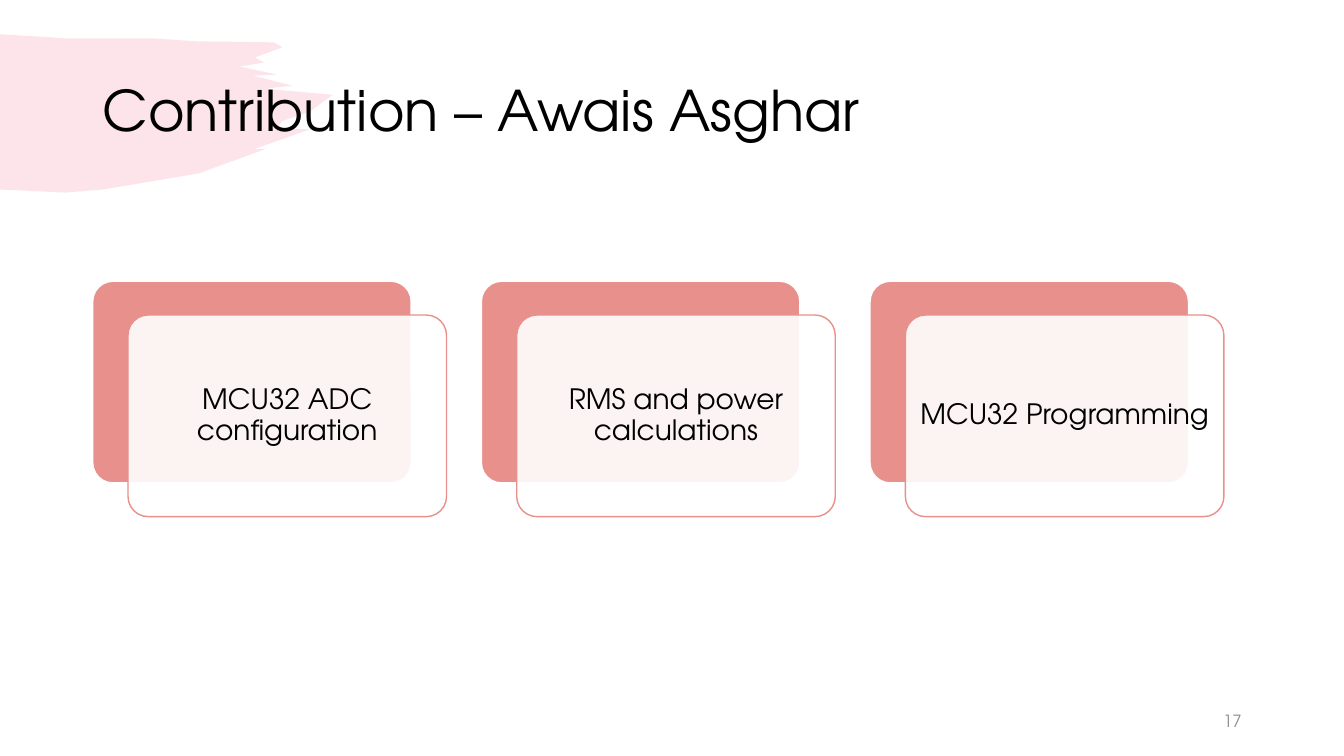
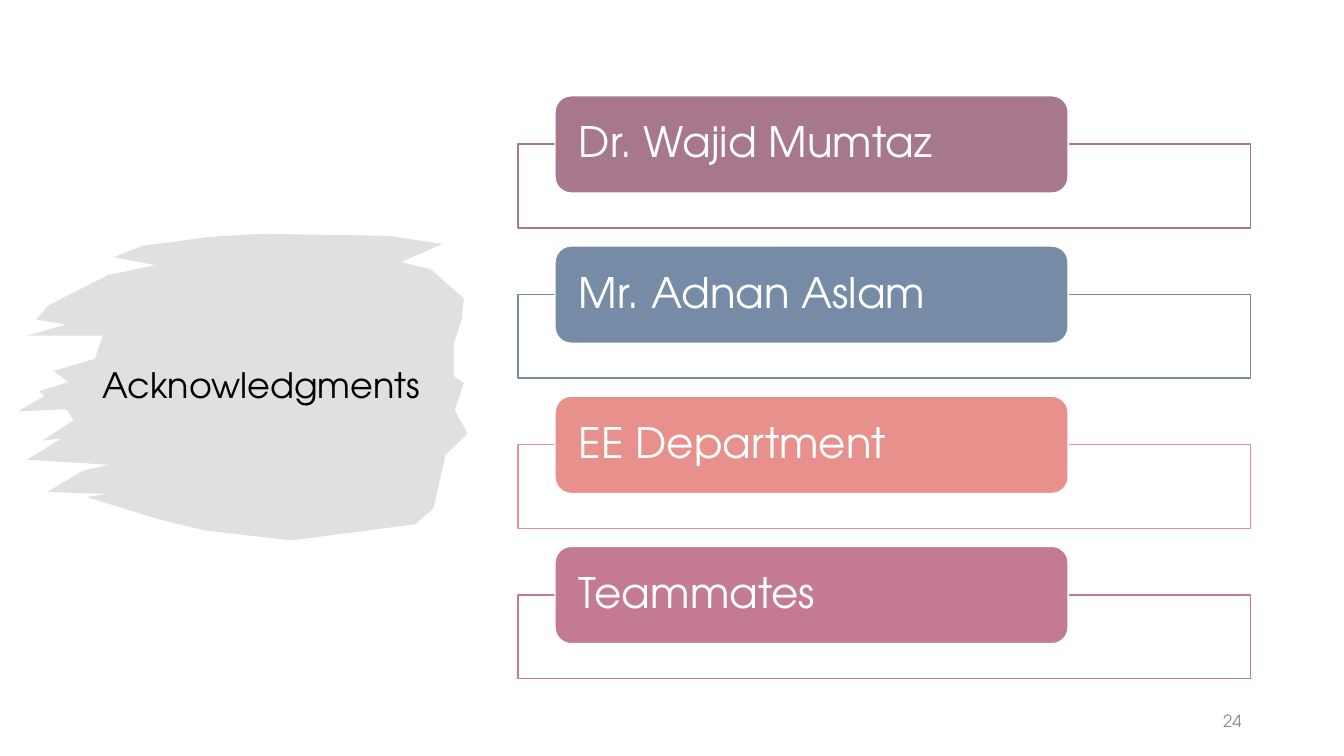
from dataclasses import dataclass
from typing import Optional

from lxml.etree import SubElement
from pptx import Presentation
from pptx.dml.color import RGBColor
from pptx.enum.shapes import MSO_SHAPE as Preset
from pptx.enum.text import MSO_ANCHOR as Anchor, PP_ALIGN as Align
from pptx.oxml.ns import qn
from pptx.util import Emu, Inches, Pt

SLIDE_WIDTH, SLIDE_HEIGHT = Emu(12192000), Emu(6858000)
MESH_COLUMNS = 1333
FONT = "TeX Gyre Adventor"
COLORS = {
    "ink": "000000",
    "paper": "FFFFFF",
    "footer": "8C8C8C",
    "blush": "F07C98",
    "grey": "D9D9D9",
    "coral": "E8908B",
    "mauve": "A6778D",
    "slate": "768BA6",
    "rose": "C47A93",
}


@dataclass(frozen=True)
class Box:
    """Position and size in percent of the slide."""

    left: float
    top: float
    width: float
    height: float

    def shifted(self, right: float = 0, down: float = 0) -> "Box":
        return Box(self.left + right, self.top + down, self.width, self.height)

    def emu(self) -> tuple[Emu, ...]:
        shares = (self.left, self.top, self.width, self.height)
        sides = (SLIDE_WIDTH, SLIDE_HEIGHT) * 2
        return tuple(Emu(round(side * share / 100)) for side, share in zip(sides, shares))


@dataclass(frozen=True)
class Brush:
    """Outline on a mesh of square cells, MESH_COLUMNS across the slide."""

    color: str
    opacity: int
    outline: tuple[tuple[int, int], ...]


@dataclass(frozen=True)
class Thanks:
    name: str
    color: str


TITLE_BRUSH = Brush("blush", 20, (
    (0, 34), (66, 38), (151, 38), (194, 41), (272, 42), (280, 47), (253, 57), (262, 62),
    (238, 66), (275, 74), (251, 75), (290, 85), (263, 88), (330, 94), (307, 111), (280, 120),
    (274, 128), (308, 128), (252, 148), (263, 148), (197, 172), (102, 188), (65, 191), (0, 188),
))
THANKS_BRUSH = Brush("grey", 80, (
    (259, 232), (385, 234), (439, 242), (398, 260), (427, 267), (460, 296), (458, 317),
    (450, 341), (450, 373), (460, 380), (451, 407), (464, 430), (442, 451), (430, 504),
    (412, 520), (289, 536), (202, 526), (154, 514), (86, 493), (107, 490), (47, 488),
    (82, 467), (108, 461), (27, 456), (61, 435), (42, 437), (73, 417), (66, 406), (18, 408),
    (44, 393), (39, 388), (68, 379), (53, 368), (94, 356), (102, 333), (27, 333),
    (66, 322), (36, 317), (48, 303), (107, 273), (154, 263), (113, 255), (141, 244),
    (208, 235),
))

FOOTER = Box(70.63, 92.67, 22.5, 5.33)
TOP_TITLE = Box(6.9, 5.33, 86.25, 19.33)
SIDE_TITLE = Box(6.9, 21.87, 26.4, 58.67)

CARD = Box(6.9, 37.2, 23.7, 26.67)
CARD_PITCH = 28.92
CARD_OFFSET = (2.63, 4.47)
CONTRIBUTIONS = ("MCU32 ADC configuration", "RMS and power calculations", "MCU32 Programming ")

FRAME = Box(38.55, 19.07, 54.5, 11.07)
PILL = Box(41.3, 12.67, 38.18, 12.87)
THANKS_PITCH = 19.87
ACKNOWLEDGED = (
    Thanks("Dr. Wajid Mumtaz", "mauve"),
    Thanks("Mr. Adnan Aslam", "slate"),
    Thanks("EE Department", "coral"),
    Thanks("Teammates", "rose"),
)


def rgb(color: str) -> RGBColor:
    return RGBColor.from_string(COLORS[color])


def paint(shape, fill: str, line: Optional[str] = None, opacity: int = 100) -> None:
    shape.shadow.inherit = False
    shape.fill.solid()
    shape.fill.fore_color.rgb = rgb(fill)
    if opacity < 100:
        tint = shape.element.spPr.find(qn("a:solidFill"))[0]
        SubElement(tint, qn("a:alpha")).set("val", str(opacity * 1000))
    if line:
        shape.line.color.rgb = rgb(line)
        shape.line.width = Pt(1)
    else:
        shape.line.fill.background()


def add_panel(slide, preset: Preset, box: Box, fill: str, line: str,
              opacity: int = 100, corner: Optional[float] = None):
    panel = slide.shapes.add_shape(preset, *box.emu())
    paint(panel, fill, line, opacity)
    if corner is not None:
        panel.adjustments[0] = corner
    return panel


def write(holder, text: str, *, size: int, color: str = "ink", align: Align = Align.LEFT,
          spacing: float = 0.9, inset: tuple[float, float] = (0.1, 0.05)) -> None:
    frame = holder.text_frame
    frame.word_wrap = True
    frame.vertical_anchor = Anchor.MIDDLE
    frame.margin_left = frame.margin_right = Inches(inset[0])
    frame.margin_top = frame.margin_bottom = Inches(inset[1])
    paragraph = frame.paragraphs[0]
    paragraph.alignment = align
    paragraph.line_spacing = spacing
    run = paragraph.add_run()
    run.text = text
    run.font.name = FONT
    run.font.size = Pt(size)
    run.font.color.rgb = rgb(color)


def add_brush(slide, brush: Brush) -> None:
    start, *rest = brush.outline
    builder = slide.shapes.build_freeform(*start, scale=SLIDE_WIDTH / MESH_COLUMNS)
    builder.add_line_segments(rest, close=True)
    paint(builder.convert_to_shape(), brush.color, opacity=brush.opacity)


def add_base(deck, brush: Brush, title: str, title_box: Box, title_size: int, number: int):
    slide = deck.slides.add_slide(deck.slide_layouts[6])
    add_brush(slide, brush)
    write(slide.shapes.add_textbox(*title_box.emu()), title, size=title_size)
    write(slide.shapes.add_textbox(*FOOTER.emu()), str(number), size=12, color="footer",
          align=Align.RIGHT, spacing=1.0)
    return slide


def add_contributions(deck) -> None:
    slide = add_base(deck, TITLE_BRUSH, "Contribution – Awais Asghar", TOP_TITLE, 40, 17)
    for column, contribution in enumerate(CONTRIBUTIONS):
        back = CARD.shifted(right=column * CARD_PITCH)
        add_panel(slide, Preset.ROUNDED_RECTANGLE, back, "coral", "paper", corner=0.1)
        front = add_panel(slide, Preset.ROUNDED_RECTANGLE, back.shifted(*CARD_OFFSET),
                          "paper", "coral", opacity=90, corner=0.1)
        write(front, contribution, size=20, align=Align.CENTER, inset=(0.08, 0.08))


def add_acknowledgments(deck) -> None:
    slide = add_base(deck, THANKS_BRUSH, "Acknowledgments", SIDE_TITLE, 25, 24)
    for row, thanks in enumerate(ACKNOWLEDGED):
        down = row * THANKS_PITCH
        add_panel(slide, Preset.RECTANGLE, FRAME.shifted(down=down), "paper", thanks.color,
                  opacity=90)
        pill = add_panel(slide, Preset.ROUNDED_RECTANGLE, PILL.shifted(down=down),
                         thanks.color, "paper")
        write(pill, thanks.name, size=30, color="paper", inset=(0.19, 0))


def main() -> None:
    deck = Presentation()
    deck.slide_width, deck.slide_height = SLIDE_WIDTH, SLIDE_HEIGHT
    add_contributions(deck)
    add_acknowledgments(deck)
    deck.save("out.pptx")


if __name__ == "__main__":
    main()
